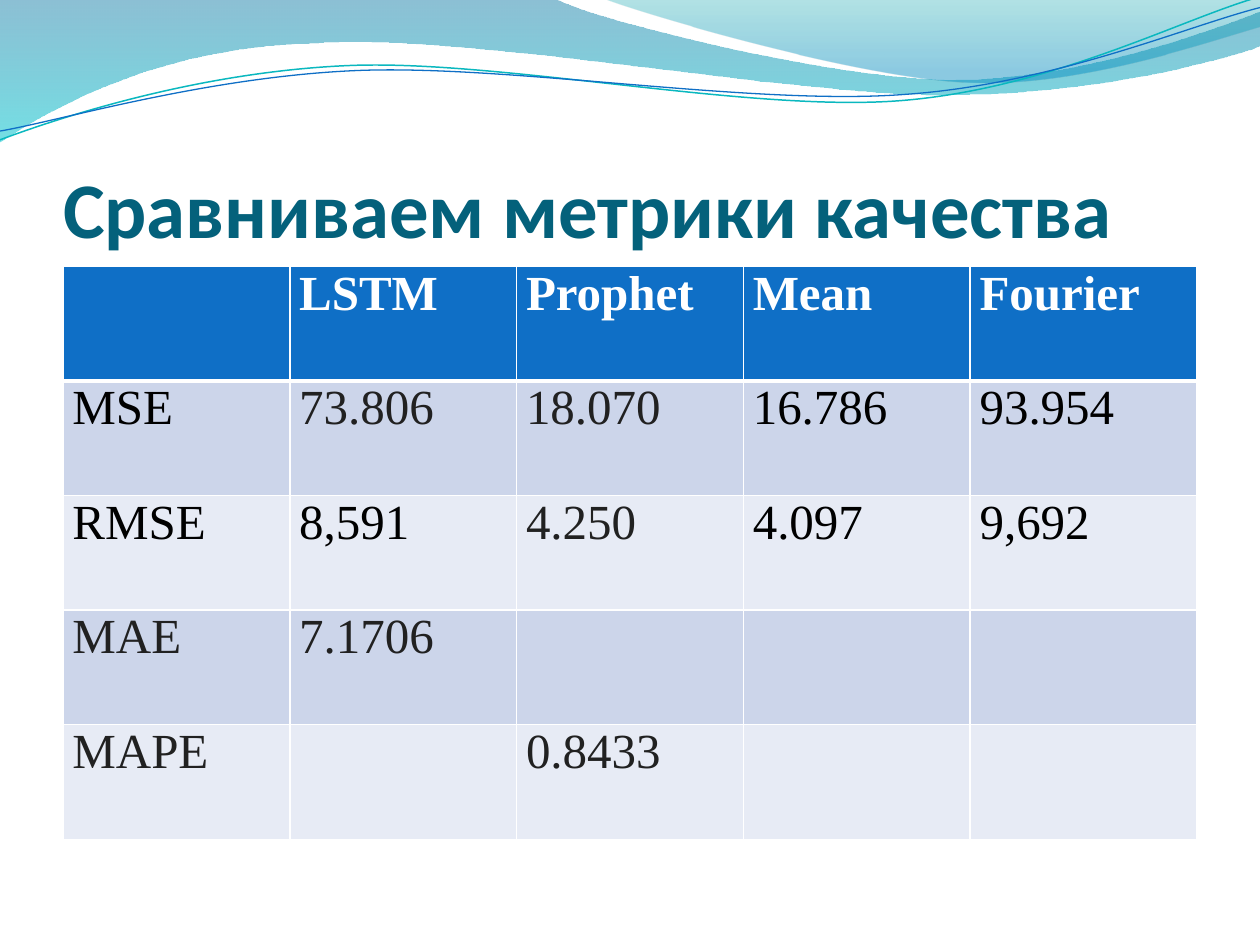
import math

from lxml import etree
from pptx import Presentation, util as u
from pptx.dml.color import RGBColor
from pptx.enum import text
from pptx.oxml.ns import qn

HEADING = "Сравниваем метрики качества"
METRICS = [
    ["", "LSTM", "Prophet", "Mean", "Fourier"],
    ["MSE", "73.806", "18.070", "16.786", "93.954"],
    ["RMSE", "8,591", "4.250", "4.097", "9,692"],
    ["MAE", "7.1706", "", "", ""],
    ["MAPE", "", "0.8433", "", ""],
]
SOFT_CELLS = {(1, 1), (1, 2), (2, 2), (3, 0), (3, 1), (4, 0), (4, 2)}

THEME = {
    "title_font": "Calibri", "title_size": 45, "title": "04617B",
    "table_font": "Times New Roman", "table_size": 28,
    "header": "0F6FC6", "bands": ["CCD5EA", "E7EBF5"],
    "white": "FFFFFF", "ink": "000000", "soft_ink": "212121",
}

BANDS = [
    {"start": (0, 0),
     "steps": [[(4.4, -0.01)],
               [(4.76, 0.17), (6.64, 0.63), (7.58, 0.63)],
               [(8.53, 0.63), (9.58, 0.26), (10, 0.09)],
               [(10.01, 0.36)],
               [(9.83, 0.44), (8.7, 0.76), (7.46, 0.75)],
               [(6.22, 0.75), (3.82, 0.28), (2.57, 0.34)],
               [(1.29, 0.36), (0.46, 0.83), (-0.01, 1.13)],
               [(0, 0)]],
     "stops": [(0, "0074A1", 45), (1, "00C6CF", 55)]},
    {"start": (4.79, -0.01),
     "steps": [[(5.09, 0.11), (6.82, 0.62), (7.69, 0.65)],
               [(8.56, 0.69), (9.61, 0.32), (10, 0.21)],
               [(10, 0)],
               [(4.79, -0.01)]],
     "stops": [(0, "00A1A9", 30), (0.8, "008BBF", 45)]},
]
STRANDS = [
    {"start": (0, 1.11),
     "steps": [[(0.48, 0.93), (1.58, 0.57), (2.77, 0.52)],
               [(3.95, 0.47), (5.93, 0.89), (7.13, 0.8)],
               [(8.33, 0.71), (9.38, 0.15), (9.98, -0.02)]],
     "center": (4.99, 0.575), "line": ("0AB8BF", 0.85)},
    {"start": (0, 1.04),
     "steps": [[(0.47, 0.96), (1.64, 0.61), (2.83, 0.56)],
               [(4.03, 0.51), (5.97, 0.84), (7.17, 0.75)],
               [(8.36, 0.67), (9.41, 0.21), (10, 0.06)]],
     "center": (4.995, 0.59), "line": ("0F6FC6", 0.75)},
]
STRAND_TILT = -2.7


def color(name):
    return RGBColor.from_string(name)


def turn(point, center, degrees):
    angle = math.radians(degrees)
    dx, dy = point[0] - center[0], point[1] - center[1]
    return (center[0] + dx * math.cos(angle) - dy * math.sin(angle),
            center[1] + dx * math.sin(angle) + dy * math.cos(angle))


def draw_wave(shapes, wave, close, tilt=0):
    points = [wave["start"]] + [point for step in wave["steps"] for point in step]
    if tilt:
        points = [turn(point, wave["center"], -tilt) for point in points]
    first, *rest = [(u.Cm(x * 2.54), u.Cm(y * 2.54)) for x, y in points]
    builder = shapes.build_freeform(*first)
    builder.add_line_segments(rest, close=close)
    outline = builder.convert_to_shape()
    segments = iter(list(outline._element.iter(qn("a:lnTo"))))
    for step in wave["steps"]:
        parts = [next(segments) for _ in step]
        if len(parts) == 3:
            curve = etree.Element(qn("a:cubicBezTo"))
            parts[0].addprevious(curve)
            for part in parts:
                curve.append(part[0])
                part.getparent().remove(part)
    outline.rotation = tilt % 360
    outline.shadow.inherit = False
    return outline


def draw_band(shapes, wave):
    band = draw_wave(shapes, wave, True)
    band.line.fill.background()
    band.fill.gradient()
    band.fill.gradient_angle = 270
    for stop, (position, tint, _) in zip(band.fill.gradient_stops, wave["stops"]):
        stop.position = position
        stop.color.rgb = color(tint)
    tints = band._element.spPr.iter(qn("a:srgbClr"))
    for tint, (_, _, opacity) in zip(tints, wave["stops"]):
        etree.SubElement(tint, qn("a:alpha"), val=str(opacity * 1000))


def draw_strand(shapes, wave):
    strand = draw_wave(shapes, wave, False, STRAND_TILT)
    strand.fill.background()
    tint, width = wave["line"]
    strand.line.color.rgb = color(tint)
    strand.line.width = u.Pt(width)


def set_borders(cell, widths):
    props = cell._tc.get_or_add_tcPr()
    for side, width in widths.items():
        border = etree.SubElement(props, qn(f"a:ln{side}"), w=str(u.Pt(width)))
        fill = etree.SubElement(border, qn("a:solidFill"))
        etree.SubElement(fill, qn("a:srgbClr"), val=THEME["white"])


def add_heading(slide):
    heading = slide.shapes.title
    slide.shapes._spTree.append(heading._element)
    heading.left, heading.top = u.Cm(1.27), u.Cm(1.96)
    heading.width, heading.height = u.Cm(22.86), u.Cm(3.17)
    frame = heading.text_frame
    frame.text = HEADING
    frame.word_wrap = True
    frame.auto_size = text.MSO_AUTO_SIZE.NONE
    frame.vertical_anchor = text.MSO_ANCHOR.BOTTOM
    frame.margin_left = frame.margin_right = frame.margin_bottom = 0
    frame.margin_top = u.Cm(0.13)
    line = frame.paragraphs[0]
    line.alignment = text.PP_ALIGN.LEFT
    line.font.name, line.font.size = THEME["title_font"], u.Pt(THEME["title_size"])
    line.font.bold = True
    line.font.color.rgb = color(THEME["title"])


def add_metrics(slide):
    table = slide.shapes.add_table(len(METRICS), len(METRICS[0]), u.Cm(1.27), u.Cm(5.37),
                                   u.Cm(22.86), u.Cm(11.55)).table
    for r, values in enumerate(METRICS):
        for c, value in enumerate(values):
            cell = table.cell(r, c)
            header = r == 0
            set_borders(cell, {"L": 1, "R": 1, "T": 3 if r == 1 else 1, "B": 3 if header else 1})
            cell.fill.solid()
            cell.fill.fore_color.rgb = color(THEME["header"] if header else THEME["bands"][(r - 1) % 2])
            if not value:
                continue
            cell.margin_left = cell.margin_right = u.Cm(0.19)
            cell.margin_top = cell.margin_bottom = 0
            cell.text = value
            font = cell.text_frame.paragraphs[0].font
            font.name, font.size = THEME["table_font"], u.Pt(THEME["table_size"])
            font.bold = header
            ink = "white" if header else "soft_ink" if (r, c) in SOFT_CELLS else "ink"
            font.color.rgb = color(THEME[ink])


def main():
    deck = Presentation()
    deck.slide_width, deck.slide_height = u.Cm(25.4), u.Cm(19.05)
    slide = deck.slides.add_slide(deck.slide_layouts[5])
    for wave in BANDS:
        draw_band(slide.shapes, wave)
    strands = slide.shapes.add_group_shape()
    for wave in STRANDS:
        draw_strand(strands.shapes, wave)
    add_heading(slide)
    add_metrics(slide)
    deck.save("out.pptx")


if __name__ == "__main__":
    main()
